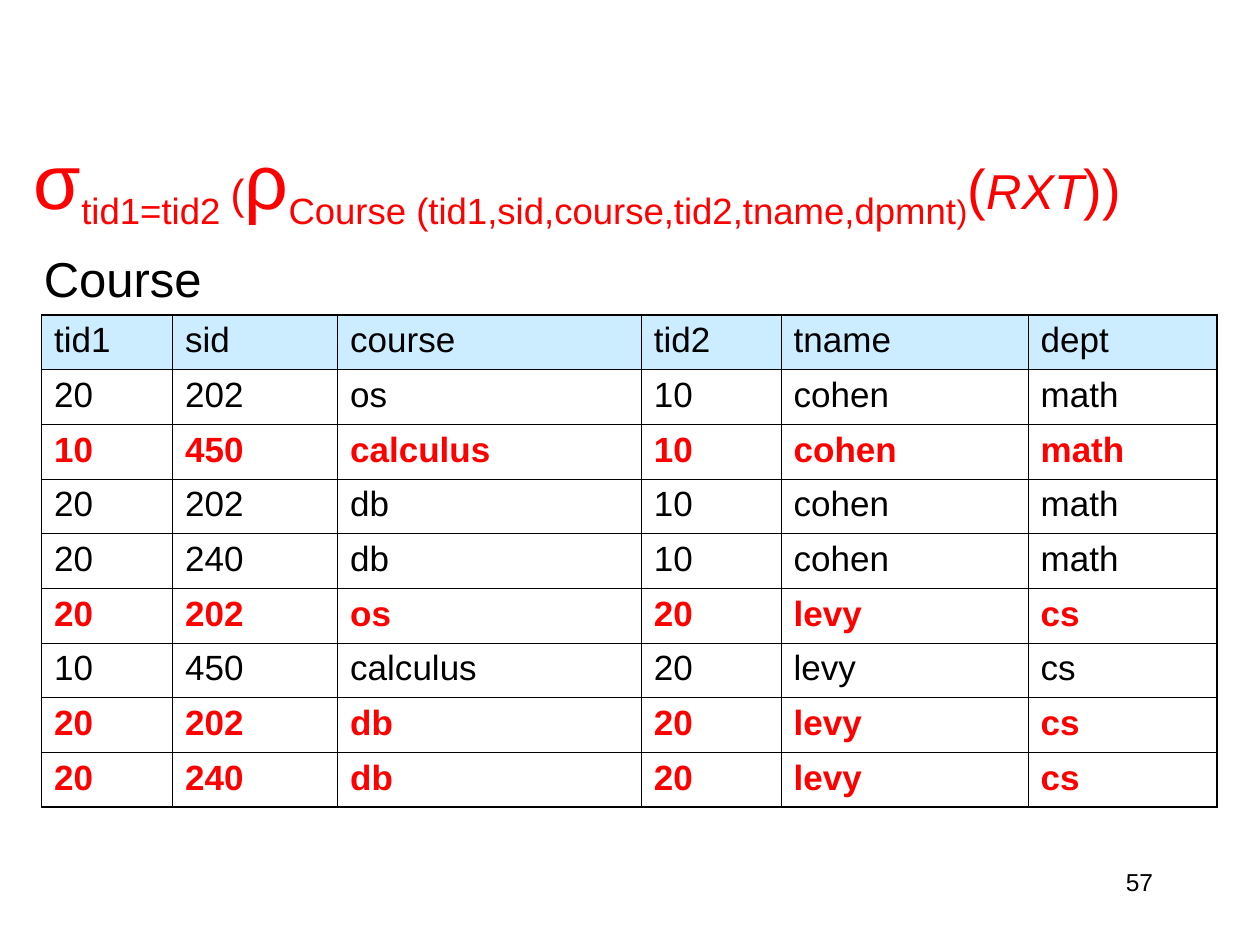
from pptx import Presentation
from pptx.dml.color import RGBColor
from pptx.enum.text import PP_ALIGN as Align
from pptx.oxml.xmlchemy import OxmlElement as Elem
from pptx.util import Inches, Pt

BLACK = RGBColor(0, 0, 0)
RED = RGBColor(0xFF, 0, 0)
SKY = RGBColor(0xCC, 0xEC, 0xFF)
THIN, THICK = Pt(0.45), Pt(1.08)

# text, size, baseline shift in percent, italic
QUERY = [
    ("σ", 44, 0, False),
    ("tid1=tid2 ", 36, -25, False),
    ("(", 24, 0, False),
    ("ρ", 44, 0, False),
    ("Course (tid1,sid,course,tid2,tname,dpmnt", 36, -25, False),
    (")", 32, -25, False),
    ("(", 32, 0, False),
    ("RXT", 28, 0, True),
    ("))", 32, 0, False),
]
HEAD = ("tid1", "sid", "course", "tid2", "tname", "dept")
ROWS = [
    ("20", "202", "os", "10", "cohen", "math"),
    ("10", "450", "calculus", "10", "cohen", "math"),
    ("20", "202", "db", "10", "cohen", "math"),
    ("20", "240", "db", "10", "cohen", "math"),
    ("20", "202", "os", "20", "levy", "cs"),
    ("10", "450", "calculus", "20", "levy", "cs"),
    ("20", "202", "db", "20", "levy", "cs"),
    ("20", "240", "db", "20", "levy", "cs"),
]
WIDTHS = (1.04, 1.31, 2.41, 1.11, 1.96, 1.5)
ROW_H = 3.9 / (len(ROWS) + 1)
TID1, TID2 = HEAD.index("tid1"), HEAD.index("tid2")


def write(par, text, size=20, color=BLACK, bold=False, italic=False, shift=0):
    run = par.add_run()
    run.text = text
    font = run.font
    font.name, font.size, font.bold, font.italic = "Arial", Pt(size), bold, italic
    font.color.rgb = color
    if shift:
        font._element.set("baseline", str(shift * 1000))


def add_box(slide, left, top, width, height, wrap=True):
    """Add a text box and return its first paragraph."""
    box = slide.shapes.add_textbox(*map(Inches, (left, top, width, height)))
    box.text_frame.word_wrap = wrap
    return box.text_frame.paragraphs[0]


def set_edge(cell, side, width):
    line = Elem(f"a:ln{side}")
    line.set("w", str(int(width)))
    fill, color = Elem("a:solidFill"), Elem("a:srgbClr")
    color.set("val", str(BLACK))
    fill.append(color)
    line.append(fill)
    cell._tc.get_or_add_tcPr().append(line)


def add_grid(slide, left, top):
    """Draw the relation, with the rows that meet tid1=tid2 in bold red."""
    data = [HEAD, *ROWS]
    last, end = len(data) - 1, len(HEAD) - 1
    table = slide.shapes.add_table(
        len(data), len(HEAD), Inches(left), Inches(top),
        Inches(sum(WIDTHS)), Inches(ROW_H * len(data))).table
    table.first_row = table.horz_banding = False
    for col, width in zip(table.columns, WIDTHS):
        col.width = Inches(width)
    for r, row in enumerate(data):
        table.rows[r].height = Inches(ROW_H)
        match = row[TID1] == row[TID2]
        for c, text in enumerate(row):
            cell = table.cell(r, c)
            write(cell.text_frame.paragraphs[0], text,
                  color=RED if match else BLACK, bold=match)
            outer = {"L": c == 0, "R": c == end, "T": r == 0, "B": r == last}
            for side, edge in outer.items():
                set_edge(cell, side, THICK if edge else THIN)
            if r == 0:
                cell.fill.solid()
                cell.fill.fore_color.rgb = SKY
            else:
                cell.fill.background()


def main():
    deck = Presentation()
    deck.slide_width, deck.slide_height = Inches(10), Inches(7.5)
    slide = deck.slides.add_slide(deck.slide_layouts[6])

    number = add_box(slide, 7.17, 6.83, 2.08, 0.5)
    number.alignment = Align.RIGHT
    write(number, "57", size=14)

    add_grid(slide, 0.33, 2.5)

    query = add_box(slide, 0.17, 1, 9.83, 0.9)
    for text, size, shift, italic in QUERY:
        write(query, text, size=size, color=RED, italic=italic, shift=shift)

    write(add_box(slide, 0.25, 1.92, 1.45, 0.57, wrap=False), "Course", size=28)
    deck.save("out.pptx")


if __name__ == "__main__":
    main()
